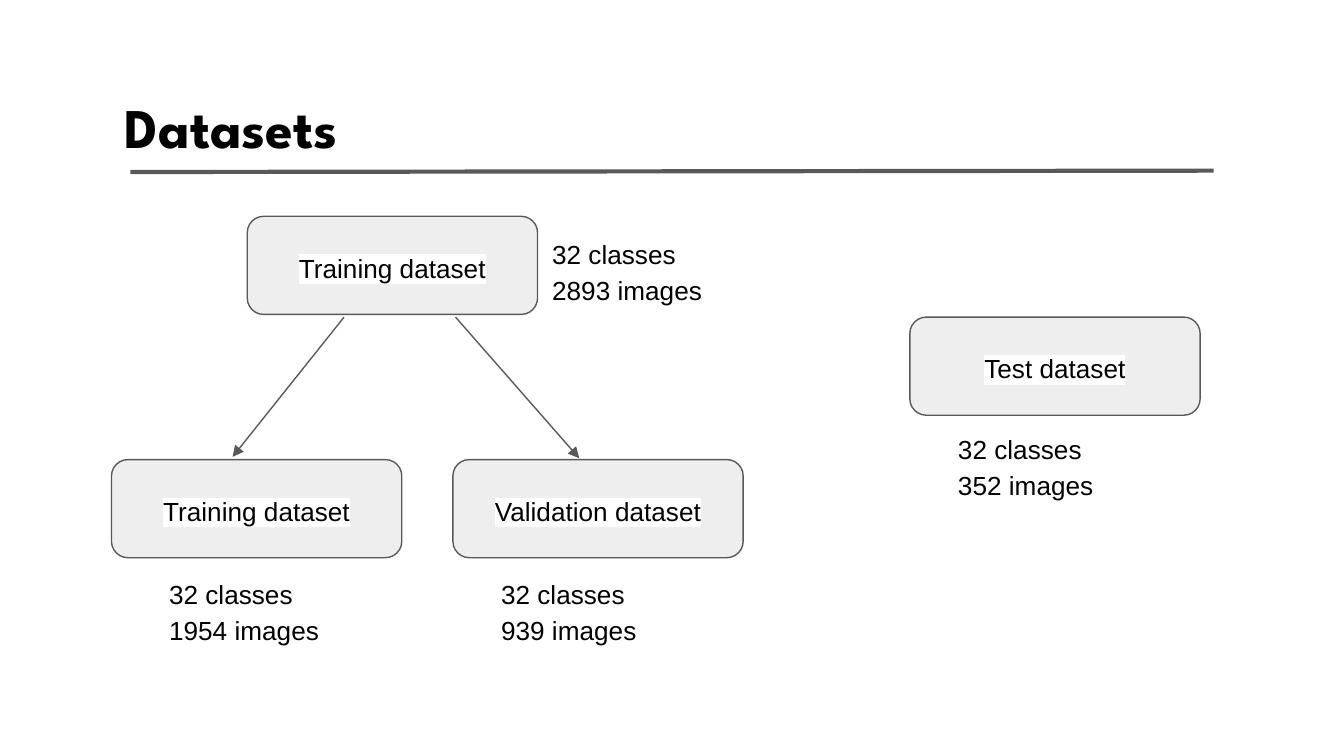
from lxml import etree
from pptx import Presentation
from pptx.dml.color import RGBColor
from pptx.enum.shapes import MSO_CONNECTOR, MSO_SHAPE
from pptx.enum.text import MSO_ANCHOR, MSO_AUTO_SIZE, PP_ALIGN
from pptx.oxml.ns import qn
from pptx.util import Inches, Pt

STRAIGHT = MSO_CONNECTOR.STRAIGHT
ROUNDED_PROCESS = MSO_SHAPE.FLOWCHART_ALTERNATE_PROCESS
TOP, MIDDLE = MSO_ANCHOR.TOP, MSO_ANCHOR.MIDDLE
LEFT, CENTER = PP_ALIGN.LEFT, PP_ALIGN.CENTER
GROW = MSO_AUTO_SIZE.SHAPE_TO_FIT_TEXT

COLORS = {"text": "000000", "highlight": "FFFFFF", "box": "EEEEEE", "line": "595959"}
TITLE_ONLY = 5
SLIDE_WIDTH = 10
BOX_SIZE = (2.16, 0.73)
COUNTS_SIZE = (1.64, 0.71)


def color(name):
    return RGBColor.from_string(COLORS[name])


class SlideBuilder:
    title_font, title_size = "League Spartan", 30
    body_font, body_size = "Arial", 14
    line_spacing = 1.15
    inset = 0.1

    def __init__(self, slide):
        self.slide = slide

    def prepare_frame(self, frame, anchor):
        frame.word_wrap = True
        frame.vertical_anchor = anchor
        frame.margin_left = frame.margin_right = Inches(self.inset)
        frame.margin_top = frame.margin_bottom = Inches(self.inset)

    def add_run(self, para, text, font, size, bold=False):
        span = para.add_run()
        span.text = text
        span.font.name = font
        span.font.size = Pt(size)
        span.font.bold = bold
        span.font.color.rgb = color("text")
        return span

    def add_lines(self, frame, lines, align):
        """Write each line as a highlighted body paragraph."""
        for index, line in enumerate(lines):
            para = frame.add_paragraph() if index else frame.paragraphs[0]
            para.alignment = align
            para.line_spacing = self.line_spacing
            span = self.add_run(para, line, self.body_font, self.body_size)
            highlight = etree.Element(qn("a:highlight"))
            etree.SubElement(highlight, qn("a:srgbClr"), val=COLORS["highlight"])
            span.font._element.find(qn("a:solidFill")).addnext(highlight)

    def title(self, text, left, top, width, height):
        box = self.slide.shapes.title
        box.left, box.top = Inches(left), Inches(top)
        box.width, box.height = Inches(width), Inches(height)
        self.prepare_frame(box.text_frame, TOP)
        box.text_frame.auto_size = GROW
        para = box.text_frame.paragraphs[0]
        para.alignment = LEFT
        para.space_before = Pt(11)
        self.add_run(para, text, self.title_font, self.title_size, bold=True)

    def dataset(self, name, left, top):
        box = self.slide.shapes.add_shape(
            ROUNDED_PROCESS, Inches(left), Inches(top), *map(Inches, BOX_SIZE))
        box.shadow.inherit = False
        box.fill.solid()
        box.fill.fore_color.rgb = color("box")
        box.line.color.rgb = color("line")
        box.line.width = Pt(0.75)
        self.prepare_frame(box.text_frame, MIDDLE)
        self.add_lines(box.text_frame, [name], CENTER)

    def counts(self, images, left, top):
        box = self.slide.shapes.add_textbox(
            Inches(left), Inches(top), *map(Inches, COUNTS_SIZE))
        self.prepare_frame(box.text_frame, TOP)
        box.text_frame.auto_size = GROW
        self.add_lines(box.text_frame, ["32 classes", f"{images} images"], LEFT)

    def line(self, start, end, width=0.75, arrow=False):
        connector = self.slide.shapes.add_connector(
            STRAIGHT, *map(Inches, (*start, *end)))
        connector.line.color.rgb = color("line")
        connector.line.width = Pt(width)
        if arrow:
            etree.SubElement(connector.line._get_or_add_ln(), qn("a:tailEnd"), type="triangle")
        etree.SubElement(connector._element.spPr, qn("a:effectLst"))


def main():
    deck = Presentation()
    deck.slide_width = Inches(SLIDE_WIDTH)
    deck.slide_height = Inches(SLIDE_WIDTH * 9 / 16)
    page = deck.slides.add_slide(deck.slide_layouts[TITLE_ONLY])
    builder = SlideBuilder(page)

    builder.title("Datasets", 0.83, 0.59, 8.35, 0.71)

    # Name, box position, image count, position of the counts
    datasets = [
        ("Training dataset", (1.84, 1.61), 2893, (4.01, 1.64)),
        ("Test dataset", (6.77, 2.36), 352, (7.03, 3.09)),
        ("Training dataset", (0.83, 3.42), 1954, (1.16, 4.17)),
        ("Validation dataset", (3.37, 3.42), 939, (3.63, 4.17)),
    ]
    for name, box_position, images, counts_position in datasets:
        builder.dataset(name, *box_position)
        builder.counts(images, *counts_position)

    builder.line((3.39, 2.36), (4.31, 3.41), arrow=True)
    builder.line((2.56, 2.36), (1.73, 3.4), arrow=True)
    builder.line((0.97, 1.28), (9.03, 1.27), width=2.25)

    deck.save("out.pptx")


if __name__ == "__main__":
    main()
